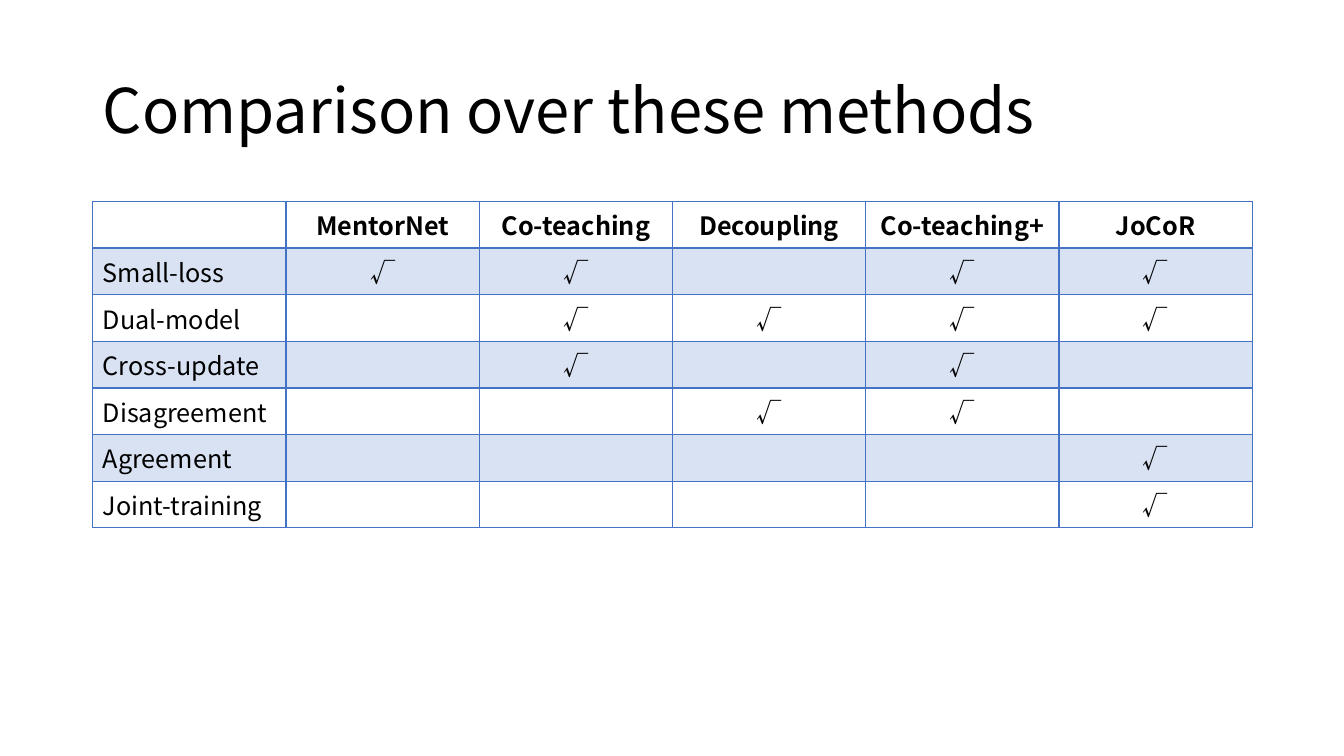
from dataclasses import dataclass

import pptx
import pptx.dml.color
import pptx.enum.text
import pptx.oxml.ns
import pptx.slide
import pptx.table
import pptx.text.text
import pptx.util
from lxml import etree

FONT = "Noto Sans CJK SC"
BLACK = pptx.dml.color.RGBColor(0x00, 0x00, 0x00)
BLUE = pptx.dml.color.RGBColor(0x44, 0x72, 0xC4)
BAND_ALPHA = 20000
CHECK = "√"
LEFT, WIDTH = pptx.util.Inches(0.92), pptx.util.Inches(11.5)
TABLE_TOP, TABLE_HEIGHT = pptx.util.Inches(2), pptx.util.Inches(2.84)


@dataclass(frozen=True)
class Feature:
    name: str
    methods: tuple[str, ...]


METHODS = ("MentorNet", "Co-teaching", "Decoupling", "Co-teaching+", "JoCoR")
FEATURES = (
    Feature("Small-loss", ("MentorNet", "Co-teaching", "Co-teaching+", "JoCoR")),
    Feature("Dual-model", ("Co-teaching", "Decoupling", "Co-teaching+", "JoCoR")),
    Feature("Cross-update", ("Co-teaching", "Co-teaching+")),
    Feature("Disagreement", ("Decoupling", "Co-teaching+")),
    Feature("Agreement", ("JoCoR",)),
    Feature("Joint-training", ("JoCoR",)),
)


def add_text(paragraph: pptx.text.text._Paragraph, text: str, size: float, bold: bool = False) -> None:
    run = paragraph.add_run()
    run.text = text
    run.font.name = FONT
    run.font.size = pptx.util.Pt(size)
    run.font.bold = bold
    run.font.color.rgb = BLACK
    properties = run._r.get_or_add_rPr()
    etree.SubElement(properties, pptx.oxml.ns.qn("a:ea"), typeface=FONT)


def add_border(cell: pptx.table._Cell, side: str, width: float) -> None:
    properties = cell._tc.get_or_add_tcPr()
    line = etree.SubElement(
        properties, pptx.oxml.ns.qn(f"a:ln{side}"), w=str(pptx.util.Pt(width))
    )
    fill = etree.SubElement(line, pptx.oxml.ns.qn("a:solidFill"))
    etree.SubElement(fill, pptx.oxml.ns.qn("a:srgbClr"), val=str(BLUE))


def fill_cell(cell: pptx.table._Cell, banded: bool) -> None:
    if not banded:
        cell.fill.background()
        return
    cell.fill.solid()
    cell.fill.fore_color.rgb = BLUE
    fill = cell._tc.get_or_add_tcPr().find(pptx.oxml.ns.qn("a:solidFill"))
    color = fill.find(pptx.oxml.ns.qn("a:srgbClr"))
    etree.SubElement(color, pptx.oxml.ns.qn("a:alpha"), val=str(BAND_ALPHA))


def format_cell(cell: pptx.table._Cell, text: str, row: int, column: int) -> None:
    header = row == 0
    for side in "LRTB":
        add_border(cell, side, 2 if header and side == "B" else 1)
    fill_cell(cell, banded=row % 2 == 1)
    paragraph = cell.text_frame.paragraphs[0]
    paragraph.font.size = pptx.util.Pt(18)
    if column:
        paragraph.alignment = pptx.enum.text.PP_ALIGN.CENTER
    if text:
        add_text(paragraph, text, 18, bold=header)


def add_title(slide: pptx.slide.Slide, text: str) -> None:
    title = slide.shapes.title
    title.left, title.top = LEFT, pptx.util.Inches(0.4)
    title.width, title.height = WIDTH, pptx.util.Inches(1.45)
    frame = title.text_frame
    frame.auto_size = pptx.enum.text.MSO_AUTO_SIZE.NONE
    frame.vertical_anchor = pptx.enum.text.MSO_ANCHOR.MIDDLE
    paragraph = frame.paragraphs[0]
    paragraph.alignment = pptx.enum.text.PP_ALIGN.LEFT
    paragraph.line_spacing = 0.9
    add_text(paragraph, text, 44)


def add_comparison(slide: pptx.slide.Slide) -> None:
    rows = [("", *METHODS)]
    for feature in FEATURES:
        marks = (CHECK if method in feature.methods else "" for method in METHODS)
        rows.append((feature.name, *marks))
    table = slide.shapes.add_table(
        len(rows), len(rows[0]), LEFT, TABLE_TOP, WIDTH, TABLE_HEIGHT
    ).table
    table.horz_banding = False
    for row, texts in enumerate(rows):
        for column, text in enumerate(texts):
            format_cell(table.cell(row, column), text, row, column)


def main() -> None:
    presentation = pptx.Presentation()
    presentation.slide_width = pptx.util.Inches(13.33)
    presentation.slide_height = pptx.util.Inches(7.5)
    slide = presentation.slides.add_slide(presentation.slide_layouts.get_by_name("Title Only"))
    add_title(slide, "Comparison over these methods")
    add_comparison(slide)
    presentation.save("out.pptx")


if __name__ == "__main__":
    main()
